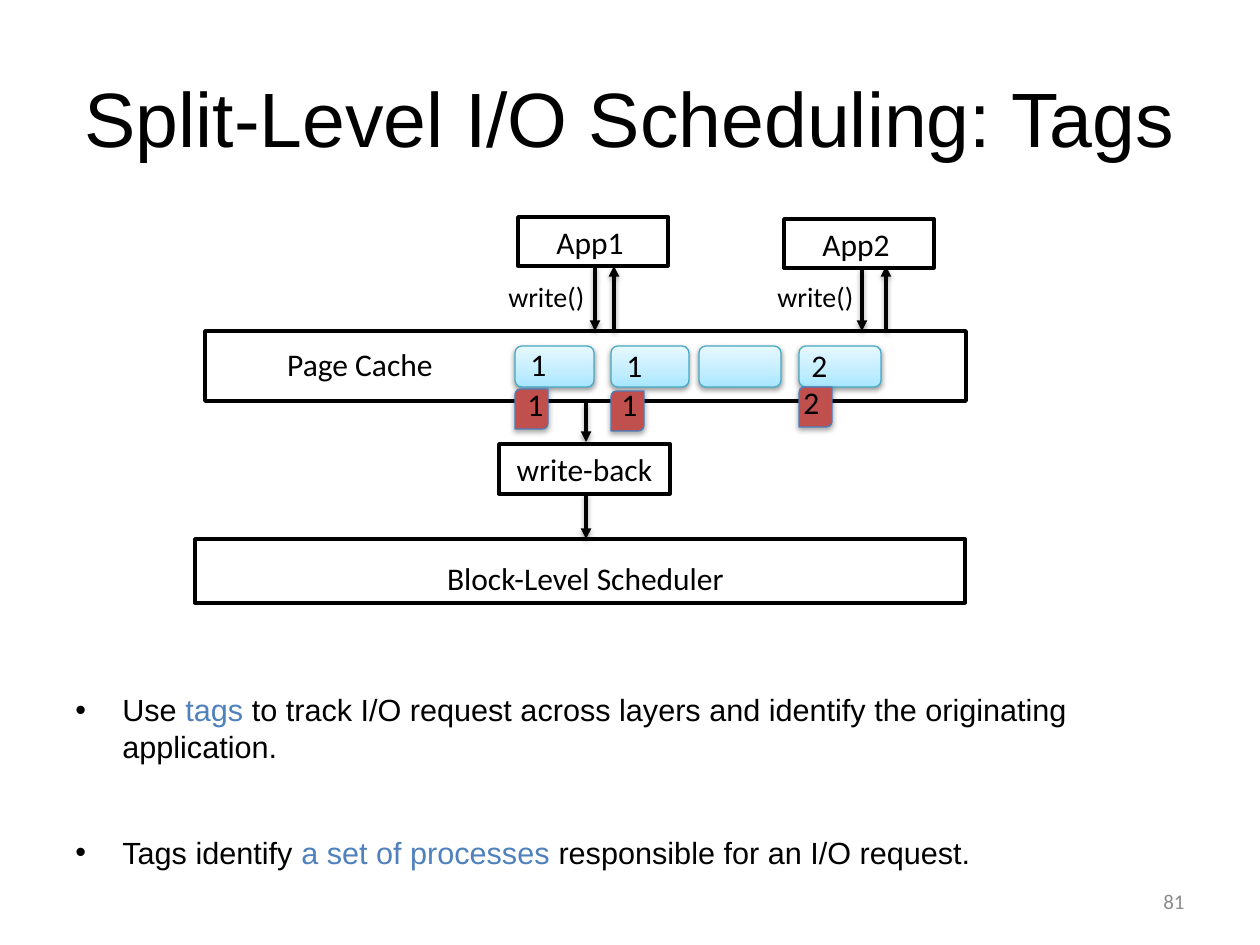
"""Build the slide on tags in split-level I/O scheduling."""
from lxml import etree
from pptx import Presentation
from pptx.dml.color import RGBColor
from pptx.enum.shapes import MSO_CONNECTOR, MSO_SHAPE
from pptx.enum.text import MSO_ANCHOR, PP_ALIGN
from pptx.oxml import parse_xml
from pptx.oxml.ns import nsdecls, qn
from pptx.util import Emu, Pt

RECT, PAGE, TAG = MSO_SHAPE.RECTANGLE, MSO_SHAPE.ROUNDED_RECTANGLE, MSO_SHAPE.ROUND_2_DIAG_RECTANGLE
LEFT, CENTER, RIGHT = PP_ALIGN.LEFT, PP_ALIGN.CENTER, PP_ALIGN.RIGHT
TOP, MIDDLE = MSO_ANCHOR.TOP, MSO_ANCHOR.MIDDLE
STRAIGHT = MSO_CONNECTOR.STRAIGHT

COLORS = {"ink": "000000", "paper": "FFFFFF", "accent": "4F81BD", "number": "8C8C8C",
          "page_line": "46AAC5", "tag": "C0504D", "tag_line": "4B7EBC"}
PAGE_STOPS = [(0, "A7E6FF"), (35, "C1EDFF"), (100, "E7F8FF")]

TITLE = "Split-Level I/O Scheduling: Tags"
TITLE_AREA = (63, 38, 1134, 157)
PAGE_CACHE = (205, 331, 761, 70)
PAGE_TOP, PAGE_HEIGHT = 346, 41
PAGES = [(515, 79), (611, 78), (699, 82), (799, 82)]
LAYERS = [(518, 217, 150, 49), (784, 219, 150, 49), (195, 539, 770, 64)]
WRITE_BACK = (499, 444, 171, 50)
ARROWS = [(595, 266, 331), (862, 268, 331), (586, 402, 442), (886, 331, 266),
          (614, 331, 266), (586, 494, 539)]
LABELS = [
    ("Page Cache", (203, 339, 314, 50), 18, CENTER),
    ("App1", (515, 217, 150, 50), 18, CENTER),
    ("App2", (781, 219, 150, 50), 18, CENTER),
    ("write()", (496, 273, 103, 44), 16, LEFT),
    ("write()", (765, 273, 117, 47), 16, LEFT),
    ("Block-Level Scheduler", (406, 553, 359, 50), 18, CENTER),
    ("write-back", WRITE_BACK, 18, CENTER),
]
PAGE_OWNERS = [("1", 518, 339), ("1", 614, 340), ("2", 799, 340)]
TAGS = [("1", (515, 389), (515, 379)), ("1", (611, 391), (609, 379)),
        ("2", (799, 387), (791, 377))]
TAG_SIZE, DIGIT_SIZE = (33, 40), (42, 50)
BULLETS_AREA = (63, 685, 1134, 207)
BULLETS = [
    [("Use ", "ink"), ("tags", "accent"),
     (" to track I/O request across layers and identify the originating application.", "ink")],
    [("Tags identify ", "ink"), ("a set of processes ", "accent"),
     ("responsible for an I/O request.", "ink")],
]
PAGE_NUMBER = ("81", (903, 876, 294, 50))


def px(value):
    return Emu(round(value * 914400 / 126))


def color(name):
    return RGBColor.from_string(COLORS[name])


def style_run(run, size, name="ink", font="Calibri"):
    run.font.size, run.font.name = Pt(size), font
    run.font.color.rgb = color(name)


def add_shadow(effects, alpha):
    effects.append(parse_xml(
        f'<a:outerShdw {nsdecls("a")} blurRad="39370" dist="20320" dir="5400000" rotWithShape="0">'
        f'<a:srgbClr val="000000"><a:alpha val="{alpha * 1000}"/></a:srgbClr></a:outerShdw>'))


def add_box(slide, kind, area, fill="paper", line="ink", width=2, shadow=0):
    box = slide.shapes.add_shape(kind, *map(px, area))
    box.shadow.inherit = False
    if fill:
        box.fill.solid()
        box.fill.fore_color.rgb = color(fill)
    box.line.color.rgb, box.line.width = color(line), Pt(width)
    if shadow:
        add_shadow(box.element.spPr.find(qn("a:effectLst")), shadow)
    return box


def add_page(slide, left, width):
    page = add_box(slide, PAGE, (left, PAGE_TOP, width, PAGE_HEIGHT), None, "page_line", 0.75, 38)
    stops = "".join(f'<a:gs pos="{position * 1000}"><a:srgbClr val="{shade}"/></a:gs>'
                    for position, shade in PAGE_STOPS)
    page.element.spPr.find(qn("a:prstGeom")).addnext(parse_xml(
        f'<a:gradFill {nsdecls("a")} rotWithShape="1"><a:gsLst>{stops}</a:gsLst>'
        '<a:lin ang="16200000" scaled="0"/></a:gradFill>'))


def add_arrow(slide, x, start, end):
    arrow = slide.shapes.add_connector(STRAIGHT, px(x), px(start), px(x), px(end))
    arrow.line.color.rgb, arrow.line.width = color("ink"), Pt(2)
    properties = arrow.element.spPr
    etree.SubElement(properties.find(qn("a:ln")), qn("a:tailEnd"), type="triangle")
    add_shadow(etree.SubElement(properties, qn("a:effectLst")), 38)


def add_label(slide, text, area, size=18, align=LEFT, wrap=True, name="ink", anchor=TOP):
    label = slide.shapes.add_textbox(*map(px, area))
    frame = label.text_frame
    frame.text, frame.word_wrap, frame.vertical_anchor = text, wrap, anchor
    frame.paragraphs[0].alignment = align
    style_run(frame.paragraphs[0].runs[0], size, name)


def add_bullets(slide):
    frame = slide.shapes.add_textbox(*map(px, BULLETS_AREA)).text_frame
    frame.word_wrap = True
    for index, parts in enumerate(BULLETS):
        paragraph = frame.add_paragraph() if index else frame.paragraphs[0]
        properties = paragraph._p.get_or_add_pPr()
        properties.set("marL", str(px(47)))
        properties.set("indent", str(px(-47)))
        etree.SubElement(properties, qn("a:buFont"), typeface="Arial")
        etree.SubElement(properties, qn("a:buChar"), char="•")
        paragraph.space_before = Pt(3.5 if index else 0)
        paragraph.space_after = Pt(36)
        for text, name in parts:
            run = paragraph.add_run()
            run.text = text
            style_run(run, 17.5, name, "Arial")


def main():
    deck = Presentation()
    deck.slide_width, deck.slide_height = px(1260), px(945)
    slide = deck.slides.add_slide(deck.slide_layouts[5])
    title = slide.shapes.title
    title.left, title.top, title.width, title.height = map(px, TITLE_AREA)
    title.text_frame.text = TITLE
    title.text_frame.vertical_anchor = MIDDLE
    title.text_frame.paragraphs[0].alignment = CENTER
    style_run(title.text_frame.paragraphs[0].runs[0], 44, font="Arial")

    add_box(slide, RECT, PAGE_CACHE)
    for left, width in PAGES:
        add_page(slide, left, width)
    for area in LAYERS:
        add_box(slide, RECT, area)
    add_box(slide, RECT, WRITE_BACK, None).fill.background()
    for arrow in ARROWS:
        add_arrow(slide, *arrow)
    for label in LABELS:
        add_label(slide, *label)
    for digit, left, top in PAGE_OWNERS:
        add_label(slide, digit, (left, top, *DIGIT_SIZE), wrap=False)
    for digit, corner, digit_corner in TAGS:
        add_box(slide, TAG, (*corner, *TAG_SIZE), "tag", "tag_line", 0.75, 35)
        add_label(slide, digit, (*digit_corner, *DIGIT_SIZE), wrap=False)
    add_bullets(slide)
    add_label(slide, *PAGE_NUMBER, 12, RIGHT, name="number", anchor=MIDDLE)
    deck.save("out.pptx")


if __name__ == "__main__":
    main()
